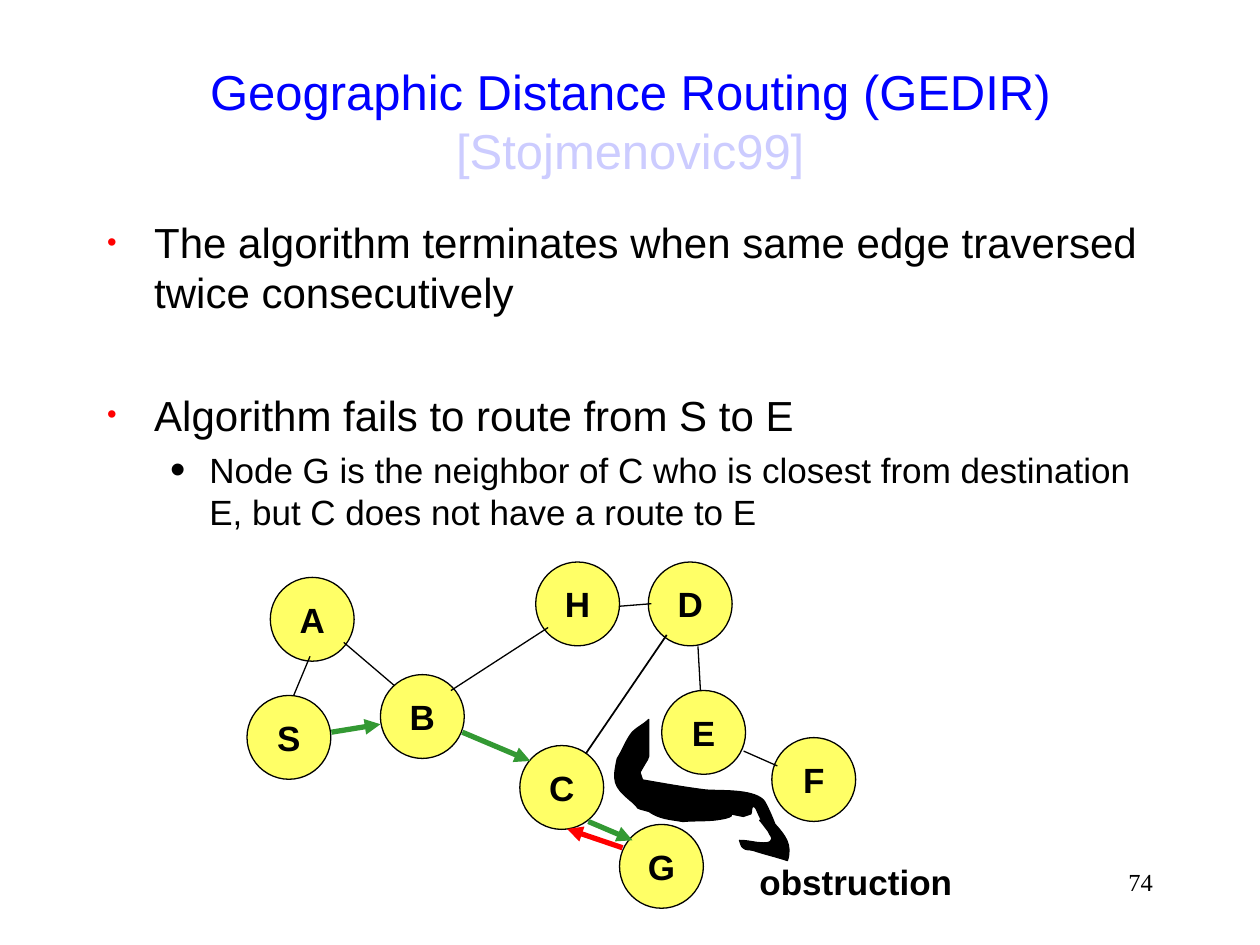
from lxml.etree import Element, SubElement
from pptx import Presentation
from pptx.dml.color import RGBColor
from pptx.enum.shapes import MSO_CONNECTOR, MSO_SHAPE
from pptx.enum.text import MSO_ANCHOR, PP_ALIGN
from pptx.oxml.ns import qn
from pptx.util import Cm, Pt

NODE_SIZE = 1.69
NODES = {
    "S": (4.98, 14.02), "A": (5.45, 11.64), "B": (7.67, 13.6),
    "D": (13.07, 11.33), "C": (10.48, 15.03), "F": (15.56, 14.87),
    "E": (13.34, 13.92), "H": (10.8, 11.33), "G": (12.49, 16.62),
}
LINKS = [
    ((5.92, 14.02), (6.25, 13.23), 0.75),
    ((6.93, 12.95), (7.95, 13.82), 0.75),
    ((11.81, 15.19), (13.44, 12.8), 1),
    ((14.07, 13.03), (14.12, 13.92), 0.75),
    ((14.99, 15.14), (15.67, 15.44), 0.75),
    ((9.09, 13.92), (11.05, 12.65), 0.75),
    ((12.5, 12.22), (13.13, 12.17), 0.75),
]
ROUTE = [
    ((6.68, 14.76), (7.67, 14.6), "339933"),
    ((9.32, 14.76), (10.69, 15.34), "339933"),
    ((11.86, 16.56), (12.75, 16.94), "339933"),
    ((12.55, 17.09), (11.43, 16.71), "FF0000"),
]
OBSTRUCTION_UNIT = 0.0254
OBSTRUCTION_START = (515, 571)
OBSTRUCTION_CURVES = [
    (511, 575, 506, 577, 502, 581), (497, 587, 494, 596, 490, 602),
    (486, 620, 487, 624, 500, 635), (511, 644, 501, 640, 515, 644),
    (524, 650, 530, 650, 542, 652), (552, 651, 563, 652, 573, 650),
    (595, 646, 559, 642, 590, 648), (592, 647, 594, 647, 596, 646),
    (597, 644, 596, 640, 598, 640), (600, 640, 601, 644, 602, 646),
    (610, 662, 595, 640, 610, 660), (611, 663, 614, 665, 612, 667),
    (611, 669, 608, 669, 606, 669), (600, 669, 594, 667, 587, 667),
    (588, 669, 588, 672, 590, 673), (592, 675, 595, 674, 598, 675),
    (607, 678, 616, 680, 625, 683), (629, 670, 623, 663, 615, 654),
    (614, 651, 608, 637, 606, 635), (597, 626, 571, 628, 560, 627),
    (544, 625, 527, 622, 510, 619), (510, 617, 508, 615, 508, 613),
    (509, 610, 511, 609, 512, 606), (514, 604, 514, 602, 515, 600),
    (515, 595, 515, 590, 515, 585),
]


def colour(value):
    return RGBColor.from_string(value)


def add_text(paragraph, text, size=20, color="000000", bold=False, font="Arial"):
    run = paragraph.add_run()
    run.text = text
    run.font.size = Pt(size)
    run.font.color.rgb = colour(color)
    run.font.bold = bold
    run.font.name = font


class SlideBuilder:
    line_color = "000000"
    node_color = "FFFF66"

    def __init__(self, slide):
        self.slide = slide

    def text_box(self, left, top, width, height, alignment=PP_ALIGN.LEFT,
                 anchor=MSO_ANCHOR.TOP, wrap=True):
        box = self.slide.shapes.add_textbox(Cm(left), Cm(top), Cm(width), Cm(height))
        frame = box.text_frame
        frame.word_wrap = wrap
        frame.vertical_anchor = anchor
        frame.paragraphs[0].alignment = alignment
        return frame

    def bullet(self, paragraph, text, size, color, percent, margin, indent,
               before=0, level=0):
        paragraph.level = level
        paragraph.space_before = Pt(before)
        properties = paragraph._p.get_or_add_pPr()
        properties.set("marL", str(Cm(margin)))
        properties.set("indent", str(-Cm(indent)))
        bullet_color = SubElement(properties, qn("a:buClr"))
        SubElement(bullet_color, qn("a:srgbClr"), val=color)
        SubElement(properties, qn("a:buSzPct"), val=str(percent * 1000))
        SubElement(properties, qn("a:buFont"), typeface="Arial")
        SubElement(properties, qn("a:buChar"), char="•")
        add_text(paragraph, text, size=size)

    def paint(self, shape, fill):
        shape.shadow.inherit = False
        shape.fill.solid()
        shape.fill.fore_color.rgb = colour(fill)
        shape.line.color.rgb = colour(self.line_color)
        shape.line.width = Pt(0.75)

    def node(self, name, left, top):
        shape = self.slide.shapes.add_shape(
            MSO_SHAPE.OVAL, Cm(left), Cm(top), Cm(NODE_SIZE), Cm(NODE_SIZE))
        self.paint(shape, self.node_color)
        frame = shape.text_frame
        frame.word_wrap = False
        frame.vertical_anchor = MSO_ANCHOR.MIDDLE
        frame.paragraphs[0].alignment = PP_ALIGN.CENTER
        add_text(frame.paragraphs[0], name, bold=True)

    def line(self, start, end, width, color=line_color, arrow=False):
        connector = self.slide.shapes.add_connector(
            MSO_CONNECTOR.STRAIGHT, *(Cm(value) for value in start + end))
        connector.line.color.rgb = colour(color)
        connector.line.width = Pt(width)
        if arrow:
            SubElement(connector.line._get_or_add_ln(), qn("a:tailEnd"), type="triangle")
        SubElement(connector._element.spPr, qn("a:effectLst"))

    def curved_outline(self, start, curves, unit, fill):
        points = [curve[i:i + 2] for curve in curves for i in (0, 2, 4)]
        builder = self.slide.shapes.build_freeform(*start, scale=Cm(unit))
        builder.add_line_segments(points, close=True)
        shape = builder.convert_to_shape()
        segments = list(shape._element.iter(qn("a:lnTo")))
        for i in range(0, len(segments), 3):
            curve = Element(qn("a:cubicBezTo"))
            segments[i].addprevious(curve)
            for segment in segments[i:i + 3]:
                curve.append(segment[0])
                segment.getparent().remove(segment)
        self.paint(shape, fill)


def main():
    presentation = Presentation()
    presentation.slide_width = Cm(25.4)
    presentation.slide_height = Cm(19.05)
    builder = SlideBuilder(presentation.slides.add_slide(presentation.slide_layouts[6]))

    title = builder.text_box(1.91, 0.84, 21.59, 3.18, PP_ALIGN.CENTER,
                             MSO_ANCHOR.MIDDLE).paragraphs[0]
    add_text(title, "Geographic Distance Routing (GEDIR) ", size=28, color="0000FF")
    add_text(title, "[Stojmenovic99]", size=28, color="CCCCFF")

    body = builder.text_box(1.91, 4.24, 21.59, 12.7)
    main_style = dict(size=24, color="FF0000", percent=65, margin=0.95, indent=0.95)
    builder.bullet(body.paragraphs[0],
                   "The algorithm terminates when same edge traversed twice consecutively",
                   **main_style)
    builder.bullet(body.add_paragraph(), "Algorithm fails to route from S to E",
                   before=41, **main_style)
    builder.bullet(body.add_paragraph(),
                   "Node G is the neighbor of C who is closest from destination E, "
                   "but C does not have a route to E",
                   size=20, color="000000", percent=125, margin=2.06, indent=0.79,
                   before=5, level=1)

    for name, position in NODES.items():
        builder.node(name, *position)
    for start, end, width in LINKS:
        builder.line(start, end, width)
    for start, end, color in ROUTE:
        builder.line(start, end, 3, color, arrow=True)
    builder.curved_outline(OBSTRUCTION_START, OBSTRUCTION_CURVES, OBSTRUCTION_UNIT, "000000")

    label = builder.text_box(15.06, 17.22, 4.39, 1.12, PP_ALIGN.CENTER,
                             MSO_ANCHOR.MIDDLE, wrap=False)
    add_text(label.paragraphs[0], "obstruction", bold=True)
    page_number = builder.text_box(18.21, 17.35, 5.28, 1.27, PP_ALIGN.RIGHT)
    add_text(page_number.paragraphs[0], "74", size=14, font="Times New Roman")
    presentation.save("out.pptx")


if __name__ == "__main__":
    main()
